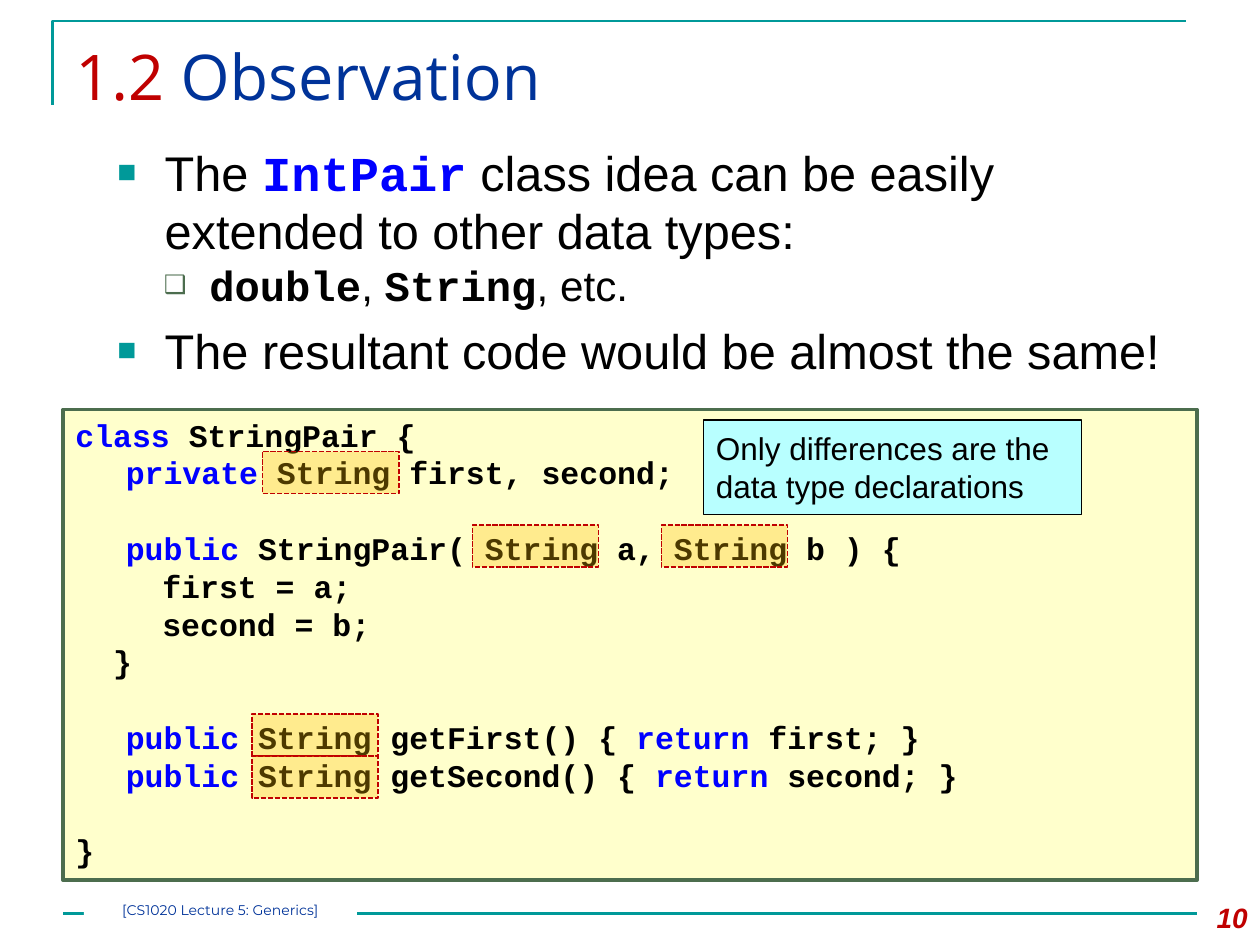
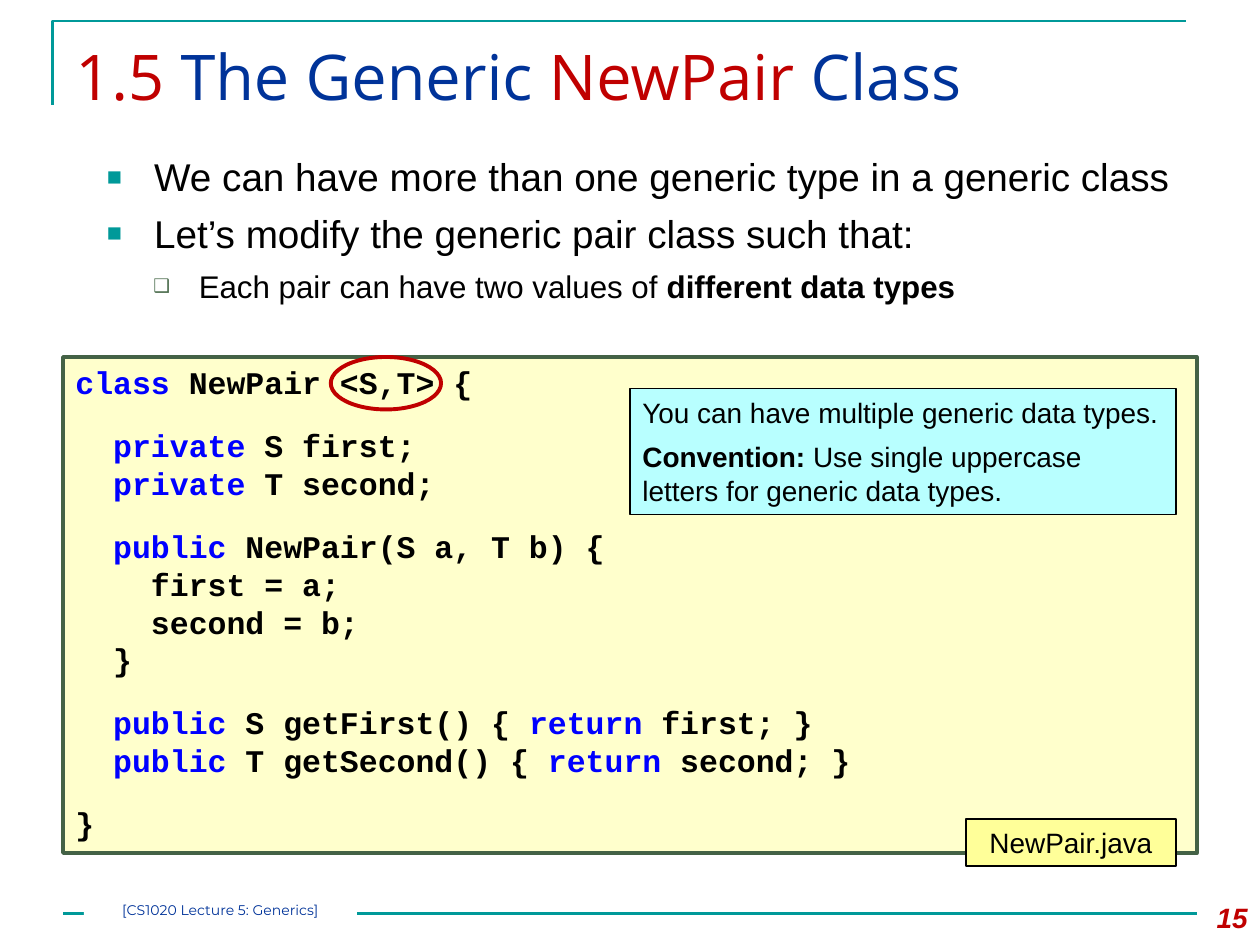
from dataclasses import dataclass
from itertools import groupby
from typing import Any, NamedTuple, Optional

from lxml import etree
from pptx import Presentation
from pptx.dml.color import RGBColor
from pptx.enum import dml, shapes, text
from pptx.oxml.ns import qn
from pptx.util import Pt


# Theme: every colour, font and type size
@dataclass(frozen=True)
class Theme:
    teal: str = "009999"
    red: str = "C00000"
    navy: str = "003399"
    keyword: str = "0000FF"
    black: str = "000000"
    white: str = "FFFFFF"
    moss: str = "4C6D4E"
    dark_moss: str = "446246"
    cream: str = "FFFFCC"
    yellow: str = "FFFF99"
    aqua: str = "B8FFFF"
    amber: str = "FFC000"
    title_font: str = "Open Sans"
    body_font: str = "Arial"
    code_font: str = "Courier New"
    footer_font: str = "Montserrat"
    title_size: float = 36
    code_size: float = 18
    note_size: float = 16
    footer_size: float = 8
    leading: float = 1.2


THEME = Theme()
KEYWORDS = {"class", "private", "public", "return"}
CODE_STEP = 21.6  # two code characters


class Box(NamedTuple):
    left: float
    top: float
    width: float
    height: float


class Span(NamedTuple):
    words: str
    color: str = THEME.black
    font: str = THEME.body_font
    bold: bool = False
    italic: bool = False


class Bullet(NamedTuple):
    mark: str
    color: str
    percent: int
    margin: float
    hang: float


class Line(NamedTuple):
    spans: list[Span]
    size: float
    before: float = 0
    after: float = 0
    margin: float = 0
    bullet: Optional[Bullet] = None
    align: Any = text.PP_ALIGN.LEFT


class Code(NamedTuple):
    words: str
    margin: float = 0
    before: float = 0


class Outline(NamedTuple):
    color: str
    width: float
    dash: Any = None


SQUARE = Bullet("■", THEME.teal, 65, 27, 27)
HOLLOW = Bullet("❑", THEME.moss, 60, 52.5, 26)
THIN = Outline(THEME.black, 1)


def rgb(color: str) -> RGBColor:
    return RGBColor.from_string(color)


def apply(target: Any, formats: dict[str, Any]) -> None:
    for name, value in formats.items():
        setattr(target, name, value)


# Text
def add_bullet(props: Any, bullet: Bullet) -> None:
    tint = etree.SubElement(props, qn("a:buClr"))
    etree.SubElement(tint, qn("a:srgbClr")).set("val", bullet.color)
    etree.SubElement(props, qn("a:buSzPct")).set("val", str(bullet.percent * 1000))
    etree.SubElement(props, qn("a:buFont")).set("typeface", THEME.body_font)
    etree.SubElement(props, qn("a:buChar")).set("char", bullet.mark)


def write(holder: Any, lines: list[Line], anchor: Any = text.MSO_ANCHOR.TOP,
          inset: Optional[float] = None) -> None:
    frame = holder.text_frame
    apply(frame, {"word_wrap": True, "vertical_anchor": anchor})
    if inset is not None:
        sides = ("left", "top", "right", "bottom")
        apply(frame, {f"margin_{side}": Pt(inset) for side in sides})
    for index, line in enumerate(lines):
        paragraph = frame.add_paragraph() if index else frame.paragraphs[0]
        apply(paragraph, {
            "alignment": line.align,
            "line_spacing": Pt(round(line.size * THEME.leading, 1)),
            "space_before": Pt(line.before),
            "space_after": Pt(line.after),
        })
        props = paragraph._p.get_or_add_pPr()
        margin, hang = line.margin, 0.0
        if line.bullet:
            margin, hang = line.bullet.margin, line.bullet.hang
            add_bullet(props, line.bullet)
        props.set("marL", str(int(Pt(margin))))
        props.set("indent", str(-int(Pt(hang))))
        for span in line.spans:
            run = paragraph.add_run()
            run.text = span.words
            apply(run.font, {"name": span.font, "size": Pt(line.size),
                             "bold": span.bold, "italic": span.italic})
            run.font.color.rgb = rgb(span.color)


def add_text(slide: Any, box: Box, lines: list[Line]) -> None:
    write(slide.shapes.add_textbox(*map(Pt, box)), lines)


def code_line(code: Code) -> Line:
    """Colour the keywords of one line of code."""
    groups = [(is_key, " ".join(words)) for is_key, words in
              groupby(code.words.split(" "), lambda word: word in KEYWORDS)]
    spans = [Span(words + (" " if place < len(groups) else ""),
                  THEME.keyword if is_key else THEME.black, THEME.code_font, True)
             for place, (is_key, words) in enumerate(groups, 1)]
    return Line(spans, THEME.code_size, before=code.before, margin=code.margin)


# Shapes
def add_box(slide: Any, box: Box, fill: Optional[str] = None,
            outline: Optional[Outline] = None, opacity: int = 100,
            preset: Any = shapes.MSO_SHAPE.RECTANGLE) -> Any:
    panel = slide.shapes.add_shape(preset, *map(Pt, box))
    panel.shadow.inherit = False
    if fill:
        panel.fill.solid()
        panel.fill.fore_color.rgb = rgb(fill)
        if opacity < 100:
            tint = panel.fill._xPr.find(qn("a:solidFill"))[0]
            etree.SubElement(tint, qn("a:alpha")).set("val", str(opacity * 1000))
    else:
        panel.fill.background()
    if outline:
        draw_outline(panel, outline)
    else:
        panel.line.fill.background()
    return panel


def draw_outline(part: Any, outline: Outline) -> None:
    part.line.color.rgb = rgb(outline.color)
    apply(part.line, {"width": Pt(outline.width), "dash_style": outline.dash})


def add_code(slide: Any, box: Box, edge: str, listing: list[Code]) -> None:
    panel = add_box(slide, box, THEME.cream, Outline(edge, 2))
    write(panel, [code_line(code) for code in listing])


def add_note(slide: Any, box: Box, lines: list[Line], fill: str = THEME.aqua) -> None:
    write(add_box(slide, box, fill, THIN), lines, text.MSO_ANCHOR.MIDDLE)


# Parts that both slides share
def start_slide(deck: Any, title: list[Span], title_width: float, number: int) -> Any:
    slide = deck.slides.add_slide(deck.slide_layouts[6])
    corner = slide.shapes.build_freeform(Pt(30), Pt(60))
    corner.add_line_segments([(Pt(30), Pt(12)), (Pt(678), Pt(12))], close=False)
    bracket = corner.convert_to_shape()
    bracket.fill.background()
    bracket.shadow.inherit = False
    draw_outline(bracket, Outline(THEME.teal, 1.5))

    rule = slide.shapes.add_connector(shapes.MSO_CONNECTOR.STRAIGHT,
                                      Pt(36), Pt(522), Pt(684), Pt(522))
    draw_outline(rule, Outline(THEME.teal, 1.5))
    etree.SubElement(rule._element.spPr, qn("a:effectLst"))

    add_text(slide, Box(36, 18, title_width, 62), [Line(title, THEME.title_size)])
    add_text(slide, Box(672, 511, 48, 29), [
        Line([Span(str(number), THEME.red, bold=True, italic=True)],
             THEME.note_size, align=text.PP_ALIGN.RIGHT)])
    footer = add_box(slide, Box(48, 515, 156, 11), THEME.white)
    write(footer, [Line([Span("[CS1020 Lecture 5: Generics]", THEME.navy,
                              THEME.footer_font)],
                        THEME.footer_size, align=text.PP_ALIGN.CENTER)], inset=0)
    return slide


def heading(words: str, color: str) -> Span:
    return Span(words, color, THEME.title_font)


def observation_slide(deck: Any) -> None:
    slide = start_slide(deck, [heading("1.2", THEME.red),
                               heading(" Observation", THEME.navy)], 666, 10)
    add_text(slide, Box(60, 78, 624, 144), [
        Line([Span("The "), Span("IntPair", THEME.keyword, THEME.code_font, True),
              Span(" class idea can be easily extended to other data types:")],
             27.8, before=6, bullet=SQUARE),
        Line([Span("double", font=THEME.code_font, bold=True), Span(", "),
              Span("String", font=THEME.code_font, bold=True), Span(", etc.")],
             24.1, bullet=HOLLOW),
        Line([Span("The resultant code would be almost the same!")],
             27.8, before=6, bullet=SQUARE),
    ])
    member, body, gap = 28.8, 49.7, 21.6
    add_code(slide, Box(36, 234, 648, 269), THEME.moss, [
        Code("class StringPair {"),
        Code("private String first, second;", member),
        Code("public StringPair( String a, String b ) {", member, gap),
        Code("first = a;", body),
        Code("second = b;", body),
        Code("}", CODE_STEP),
        Code("public String getFirst() { return first; }", member, gap),
        Code("public String getSecond() { return second; }", member),
        Code("}", before=gap),
    ])
    # Highlights over each String type
    for left, top, width in ((150, 258, 78), (270, 300, 72), (378, 300, 72),
                             (144, 408, 72), (144, 432, 72)):
        add_box(slide, Box(left, top, width, 24), THEME.amber,
                Outline(THEME.red, 1, dml.MSO_LINE.SQUARE_DOT), opacity=30)
    add_note(slide, Box(402, 240, 216, 54), [
        Line([Span("Only differences are the data type declarations")], 18)])


def new_pair_slide(deck: Any) -> None:
    slide = start_slide(deck, [heading("1.5 ", THEME.red),
                               heading("The Generic ", THEME.navy),
                               heading("NewPair ", THEME.red),
                               heading("Class", THEME.navy)], 648, 15)
    add_text(slide, Box(54, 84, 630, 96), [
        Line([Span("We can have more than one generic type in a generic class")],
             22.1, before=6, bullet=SQUARE),
        Line([Span("Let’s modify the generic pair class such that:")],
             22.1, before=6, bullet=SQUARE),
        Line([Span("Each pair can have two values of "),
              Span("different data types", bold=True)],
             17.9, before=6, bullet=HOLLOW),
    ])
    member, body, gap = CODE_STEP, 2 * CODE_STEP, 14.4
    add_code(slide, Box(36, 204, 648, 283.5), THEME.dark_moss, [
        Code("class NewPair <S,T> {"),
        Code("private S first;", member, gap),
        Code("private T second;", member),
        Code("public NewPair(S a, T b) {", member, gap),
        Code("first = a;", body),
        Code("second = b;", body),
        Code("}", member),
        Code("public S getFirst() { return first; }", member, gap),
        Code("public T getSecond() { return second; }", member),
        Code("}", before=gap),
    ])
    add_note(slide, Box(552, 468, 120, 27), [
        Line([Span("NewPair.java")], THEME.note_size, align=text.PP_ALIGN.CENTER)],
        THEME.yellow)
    add_note(slide, Box(360, 222, 312, 72), [
        Line([Span("You can have multiple generic data types.")],
             THEME.note_size, after=6),
        Line([Span("Convention: ", bold=True),
              Span("Use single uppercase letters for generic data types.")],
             THEME.note_size, after=6),
    ])
    # Ring around the type parameters
    add_box(slide, Box(189, 204, 63, 30), outline=Outline(THEME.red, 2.25),
            preset=shapes.MSO_SHAPE.OVAL)


def main() -> None:
    deck = Presentation()
    apply(deck, {"slide_width": Pt(720), "slide_height": Pt(540)})
    observation_slide(deck)
    new_pair_slide(deck)
    deck.save("out.pptx")


if __name__ == "__main__":
    main()
